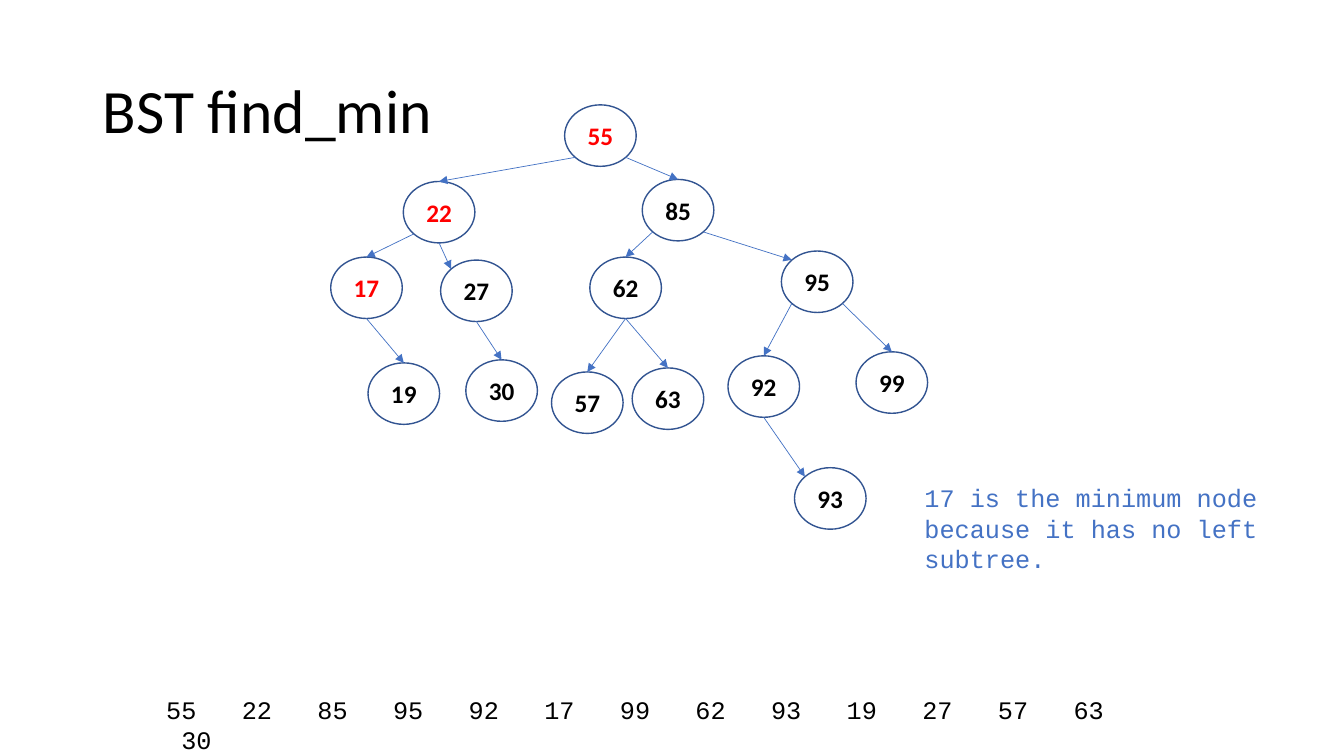
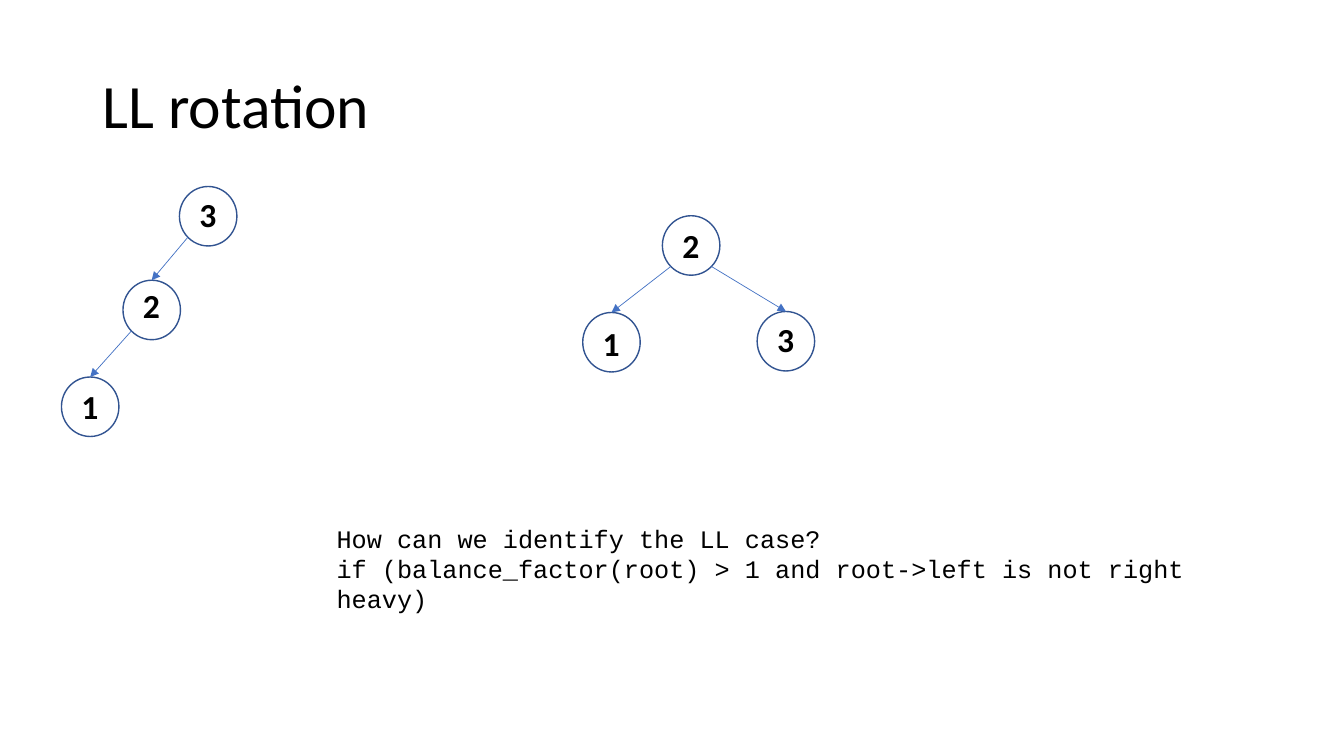
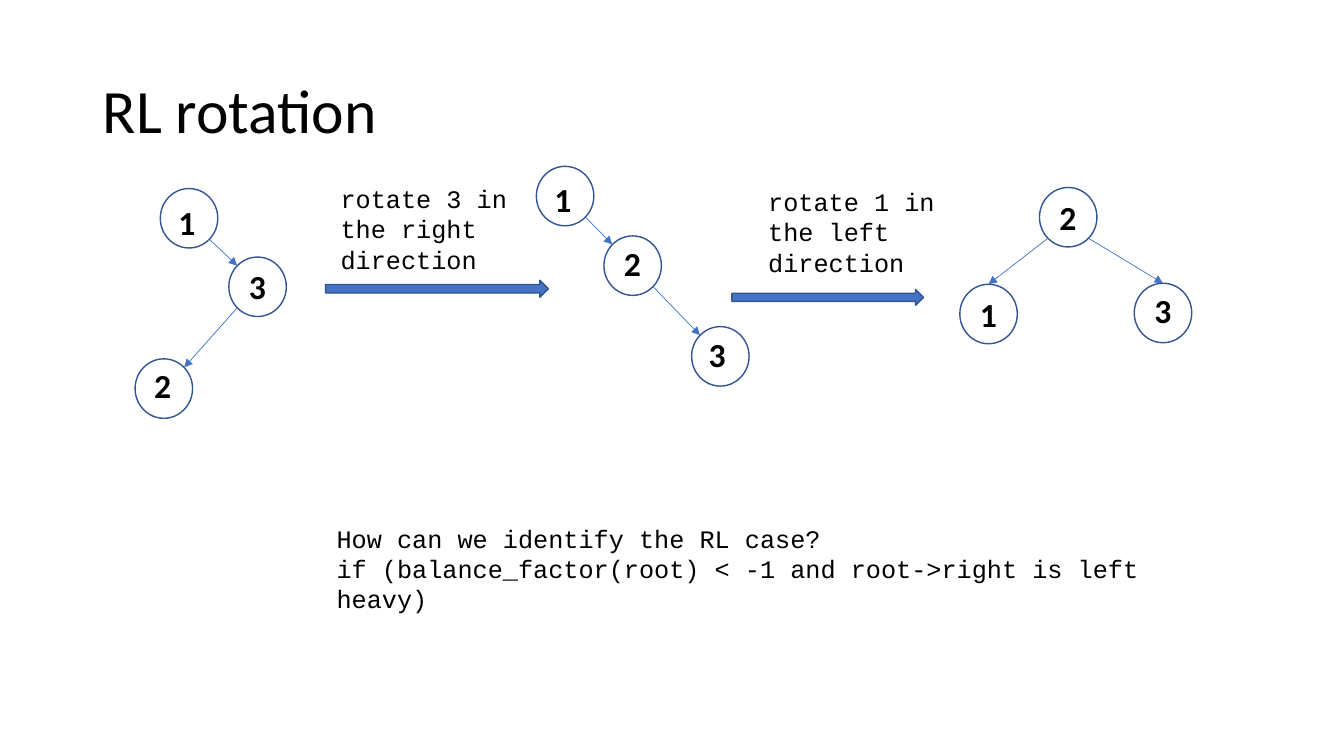
from pptx import Presentation
from pptx.dml.color import RGBColor
from pptx.enum.shapes import MSO_CONNECTOR, MSO_SHAPE
from pptx.enum.text import MSO_ANCHOR, PP_ALIGN
from pptx.oxml.ns import qn
from pptx.util import Pt
from lxml import etree

PX = 9144  # 100 px to the inch
BLACK = RGBColor(0, 0, 0)
WHITE = RGBColor(255, 255, 255)
RED = RGBColor(255, 0, 0)
BLUE = RGBColor(0x44, 0x72, 0xC4)
NAVY = RGBColor(0x32, 0x54, 0x91)

LINE = MSO_CONNECTOR.STRAIGHT
OVAL = MSO_SHAPE.OVAL
ARROW = MSO_SHAPE.RIGHT_ARROW
MIDDLE = MSO_ANCHOR.MIDDLE
CENTER = PP_ALIGN.CENTER

TITLE = {"name": "Calibri", "size": Pt(44), "bold": False}
CODE = {"name": "Courier New", "size": Pt(18), "bold": False}
KEY = {"name": "Calibri", "size": Pt(18), "bold": True}
LABEL = {"name": "Calibri", "size": Pt(24), "bold": True}

# Points on an oval, as shares of its half width and half height
SITES = {"T": (0, -1), "B": (0, 1), "TL": (-0.71, -0.71), "TR": (0.71, -0.71),
         "BL": (-0.71, 0.71), "BR": (0.71, 0.71)}

KEYS = {"55": (232, 0), "22": (72, 76), "85": (309, 74), "95": (447, 145),
        "92": (394, 249), "17": (0, 151), "99": (521, 245), "62": (257, 151),
        "93": (460, 360), "19": (37, 256), "27": (109, 154), "57": (219, 265),
        "63": (299, 261), "30": (134, 253)}
LINKS = [("55", "BL", "22", "T"), ("55", "BR", "85", "T"),
         ("22", "BL", "17", "T"), ("22", "B", "27", "TL"),
         ("85", "BL", "62", "T"), ("85", "BR", "95", "TL"),
         ("17", "B", "19", "T"), ("27", "B", "30", "T"),
         ("62", "B", "57", "T"), ("62", "B", "63", "T"),
         ("95", "BL", "92", "T"), ("95", "BR", "99", "T"),
         ("92", "B", "93", "TL")]

# Rotation trees: node -> left, top, label shift right, label shift down
LL_TREE = ({"3": (117, 0, 10, 2), "2": (61, 93, 10, 0), "1": (0, 189, 10, 4)},
           [("3", "BL", "2", "T"), ("2", "BL", "1", "T")])
RL_TREE = ({"1": (25, 0, 8, 8), "3": (93, 68, 10, 4), "2": (0, 169, 9, 1)},
           [("1", "BR", "3", "TL"), ("3", "BL", "2", "TR")])
RR_TREE = ({"1": (0, 0, 8, 8), "2": (67, 69, 10, 2), "3": (154, 159, 7, 2)},
           [("1", "BR", "2", "TL"), ("2", "BR", "3", "TL")])
EVEN_TREE = ({"2": (79, 0, 10, 4), "1": (0, 96, 10, 5), "3": (173, 95, 10, 2)},
             [("2", "BL", "1", "T"), ("2", "BR", "3", "T")])


def emu(*sizes):
    return [round(size * PX) for size in sizes]


def write(para, words, style, color):
    run = para.add_run()
    run.text = words
    for name, value in style.items():
        setattr(run.font, name, value)
    run.font.color.rgb = color


def text(slide, box, lines, style=CODE, color=BLACK):
    frame = slide.shapes.add_textbox(*emu(*box)).text_frame
    frame.word_wrap = True
    for num, words in enumerate(lines):
        para = frame.add_paragraph() if num else frame.paragraphs[0]
        write(para, words, style, color)
    return frame


def page(deck, title, top=40):
    """Add a blank slide with the shared title."""
    slide = deck.slides.add_slide(deck.slide_layouts[6])
    frame = text(slide, (92, top, 1150, 145), [title], TITLE)
    frame.vertical_anchor = MIDDLE
    frame.paragraphs[0].line_spacing = 0.9
    return slide


def shape(slide, kind, box, fill):
    item = slide.shapes.add_shape(kind, *emu(*box))
    item.shadow.inherit = False
    if fill is None:
        item.fill.background()
    else:
        item.fill.solid()
        item.fill.fore_color.rgb = fill
    item.line.color.rgb = NAVY
    item.line.width = Pt(1)
    return item


def site(node, name):
    across, down = SITES[name]
    return (round(node.left + node.width * (1 + across) / 2),
            round(node.top + node.height * (1 + down) / 2))


def link(slide, start, leave, end, enter):
    """Draw an arrow between named points of two ovals."""
    line = slide.shapes.add_connector(LINE, *site(start, leave), *site(end, enter))
    line.line.color.rgb = BLUE
    line.line.width = Pt(0.5)
    props = line._element.spPr
    etree.SubElement(props.find(qn("a:ln")), qn("a:tailEnd"), type="triangle")
    etree.SubElement(props, qn("a:effectLst"))
    if enter == "T":
        line.end_connect(end, 0)


def join(slide, nodes, links):
    for start, leave, end, enter in links:
        link(slide, nodes[start], leave, nodes[end], enter)


def search(slide, left, top, trail):
    """Draw the search tree, with the keys of the trail in red."""
    nodes = {}
    for key, (x, y) in KEYS.items():
        node = shape(slide, OVAL, (left + x, top + y, 71, 61), None)
        frame = node.text_frame
        frame.vertical_anchor = MIDDLE
        frame.word_wrap = False
        para = frame.paragraphs[0]
        para.alignment = CENTER
        write(para, key, KEY, RED if key in trail else BLACK)
        nodes[key] = node
    join(slide, nodes, LINKS)


def small(slide, left, top, tree):
    """Draw a rotation tree of three nodes."""
    places, links = tree
    nodes = {}
    for key, (x, y, right, down) in places.items():
        x, y = left + x, top + y
        nodes[key] = shape(slide, OVAL, (x, y, 57, 59), WHITE)
        text(slide, (x + right, y + down, 57, 50), [key], LABEL)
    join(slide, nodes, links)


def order(slide, left, top):
    """List the keys in the order of insertion, in even columns."""
    *first, last = KEYS
    frame = text(slide, (left, top, 970, 40), ["\t".join(first), last])
    row, rest = [para._p.get_or_add_pPr() for para in frame.paragraphs]
    tabs = etree.SubElement(row, qn("a:tabLst"))
    for num in range(1, len(first)):
        etree.SubElement(tabs, qn("a:tab"), pos=str(num * 75 * PX), algn="l")
    rest.set("marL", str(15 * PX))
    rest.set("indent", "0")


def case(slide, name, test):
    lines = [f"How can we identify the {name} case?", f"if ({test})"]
    text(slide, (324, 514, 917, 71), lines)


def step(slide, left, top, words, arrow):
    """Write a rotation step above its block arrow, placed from the words."""
    x, y, width, height = arrow
    text(slide, (left, top, 199, 101), [words])
    shape(slide, ARROW, (left + x, top + y, width, height), BLUE)


def main():
    deck = Presentation()
    deck.slide_width, deck.slide_height = emu(1333, 750)

    slide = page(deck, "BST find_min")
    search(slide, 328, 104, ("55", "22", "17"))
    order(slide, 155, 684)
    text(slide, (907, 474, 371, 101),
         ["17 is the minimum node because it has no left subtree."], color=BLUE)

    slide = page(deck, "LL rotation", 35)
    small(slide, 61, 185, LL_TREE)
    small(slide, 578, 214, EVEN_TREE)
    case(slide, "LL", "balance_factor(root) > 1 and root->left is not right heavy")

    slide = page(deck, "RL rotation")
    small(slide, 134, 187, RL_TREE)
    step(slide, 328, 177, "rotate 3 in the right direction", (-5, 101, 221, 17))
    small(slide, 532, 165, RR_TREE)
    step(slide, 752, 180, "rotate 1 in the left direction", (-26, 107, 190, 16))
    small(slide, 952, 186, EVEN_TREE)
    case(slide, "RL", "balance_factor(root) < -1 and root->right is left heavy")

    deck.save("out.pptx")


if __name__ == "__main__":
    main()
